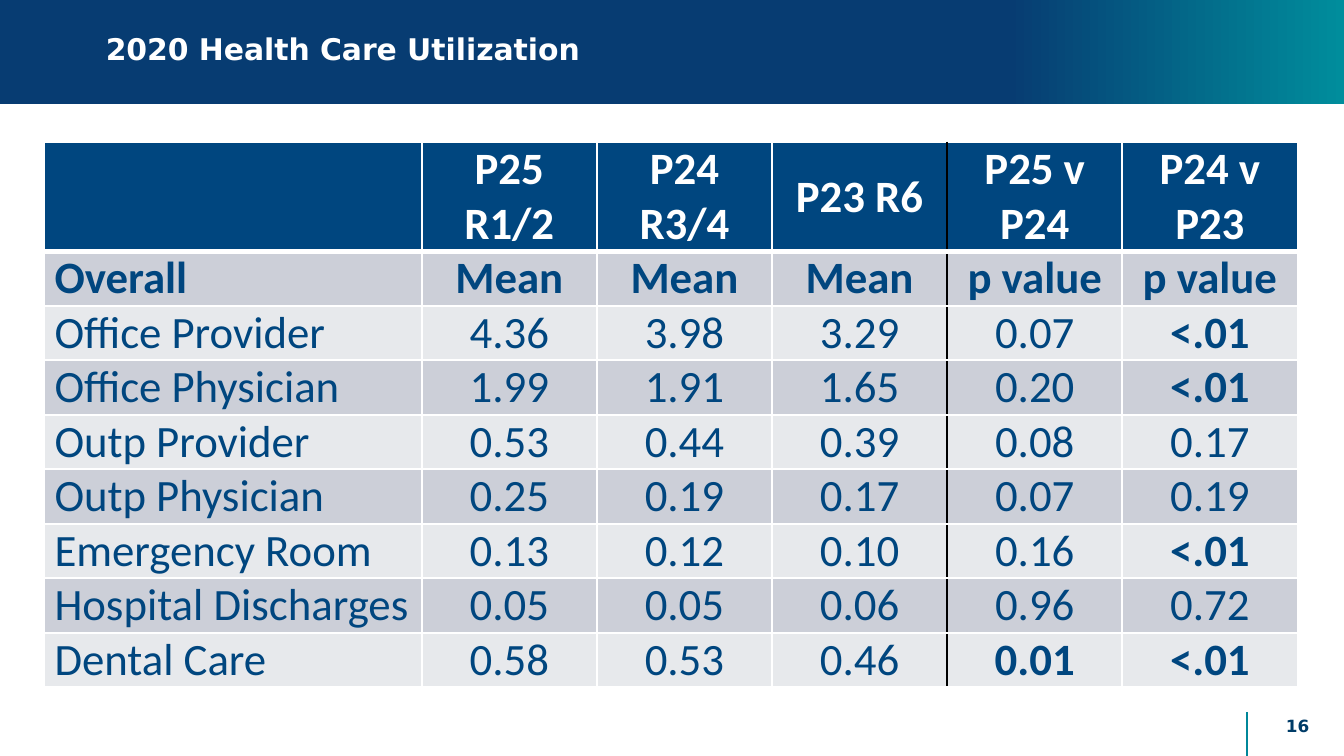
from lxml import etree
from pptx import Presentation
from pptx import util as u
from pptx.dml import color
from pptx.enum import shapes, text
from pptx.oxml import ns

NAVY, WHITE = "00467F", "FFFFFF"
BANDS = ["E7E9EC", "CCCFD8"]
ROWS = [
    ["", "P25 R1/2", "P24 R3/4", "P23 R6", "P25 v P24", "P24 v P23"],
    ["Overall", "Mean", "Mean", "Mean", "p value", "p value"],
    ["Office Provider", "4.36", "3.98", "3.29", "0.07", "<.01"],
    ["Office Physician", "1.99", "1.91", "1.65", "0.20", "<.01"],
    ["Outp Provider", "0.53", "0.44", "0.39", "0.08", "0.17"],
    ["Outp Physician", "0.25", "0.19", "0.17", "0.07", "0.19"],
    ["Emergency Room", "0.13", "0.12", "0.10", "0.16", "<.01"],
    ["Hospital Discharges", "0.05", "0.05", "0.06", "0.96", "0.72"],
    ["Dental Care", "0.58", "0.53", "0.46", "0.01", "<.01"],
]
STRONG = {"<.01", "0.01"}
SPLIT = 4


def rgb(code):
    return color.RGBColor.from_string(code)


def style(item, **values):
    for name, value in values.items():
        setattr(item, name, value)


def write(frame, words, size, font, tint, bold, align):
    para = frame.paragraphs[0]
    para.alignment = align
    run = para.add_run()
    run.text = words
    style(run.font, size=u.Pt(size), name=font, bold=bold)
    run.font.color.rgb = rgb(tint)
    return para


def label(slide, words, box, size, tint, align):
    frame = slide.shapes.add_textbox(*map(u.Cm, box)).text_frame
    style(frame, word_wrap=True, vertical_anchor=text.MSO_ANCHOR.MIDDLE)
    return write(frame, words, size, "DejaVu Sans", tint, True, align)


def banner(slide):
    bar = slide.shapes.add_shape(
        shapes.MSO_SHAPE.RECTANGLE, 0, 0, u.Cm(25.4), u.Cm(1.96))
    bar.shadow.inherit = False
    bar.line.fill.background()
    bar.fill.gradient()
    bar.fill.gradient_angle = 0
    marks = [(0.75, "073C72"), (1, "008D9C")]
    for stop, (place, tint) in zip(bar.fill.gradient_stops, marks):
        stop.position = place
        stop.color.rgb = rgb(tint)


def rule(slide, left, top, end):
    line = slide.shapes.add_connector(
        shapes.MSO_CONNECTOR.STRAIGHT, *map(u.Cm, (left, top, left, end)))
    line.line.color.rgb = rgb("008799")
    line.line.width = u.Pt(0.75)
    etree.SubElement(line._element.spPr, ns.qn("a:effectLst"))


def edges(cell, sides):
    props = cell._tc.get_or_add_tcPr()
    for spot, (side, (tint, width)) in enumerate(sides.items()):
        line = etree.Element(ns.qn(f"a:ln{side}"), w=str(u.Pt(width)))
        fill = etree.SubElement(line, ns.qn("a:solidFill"))
        etree.SubElement(fill, ns.qn("a:srgbClr"), val=tint)
        props.insert(spot, line)


def fill_cell(cell, words, row, col):
    head = row == 0
    style(cell, margin_left=u.Cm(0.19), margin_right=u.Cm(0.19),
          margin_top=0, margin_bottom=0,
          vertical_anchor=text.MSO_ANCHOR.MIDDLE)
    cell.fill.solid()
    cell.fill.fore_color.rgb = rgb(NAVY if head else BANDS[row % 2])
    edges(cell, {
        "L": ("000000" if col == SPLIT else WHITE, 1),
        "R": ("000000" if col == SPLIT - 1 else WHITE, 1),
        "T": (WHITE, 3 if row == 1 else 1),
        "B": (WHITE, 3 if head else 1),
    })
    if words:
        align = text.PP_ALIGN.CENTER if col else text.PP_ALIGN.LEFT
        write(cell.text_frame, words, 24, "Calibri",
              WHITE if head else NAVY, row < 2 or words in STRONG, align)


def grid(slide):
    wide = [7.13] + [3.31] * 5
    high = [2.06] + [1.03] * 8
    box = (0.84, 2.69, sum(wide), sum(high))
    table = slide.shapes.add_table(
        len(high), len(wide), *map(u.Cm, box)).table
    for col, width in zip(table.columns, wide):
        col.width = u.Cm(width)
    for row, height in zip(table.rows, high):
        row.height = u.Cm(height)
    for row, line in enumerate(ROWS):
        for col, words in enumerate(line):
            fill_cell(table.cell(row, col), words, row, col)


def main():
    deck = Presentation()
    style(deck, slide_width=u.Cm(25.4), slide_height=u.Cm(14.29))
    slide = deck.slides.add_slide(deck.slide_layouts[6])
    banner(slide)
    rule(slide, 23.57, 13.46, 14.29)
    title = label(slide, "2020 Health Care Utilization",
                  (1.75, 0, 20.7, 1.93), 16, WHITE, text.PP_ALIGN.LEFT)
    title.line_spacing = 0.9
    grid(slide)
    label(slide, "16", (23.65, 13.34, 1.75, 0.76), 9, "003C68",
          text.PP_ALIGN.CENTER)
    deck.save("out.pptx")


if __name__ == "__main__":
    main()
